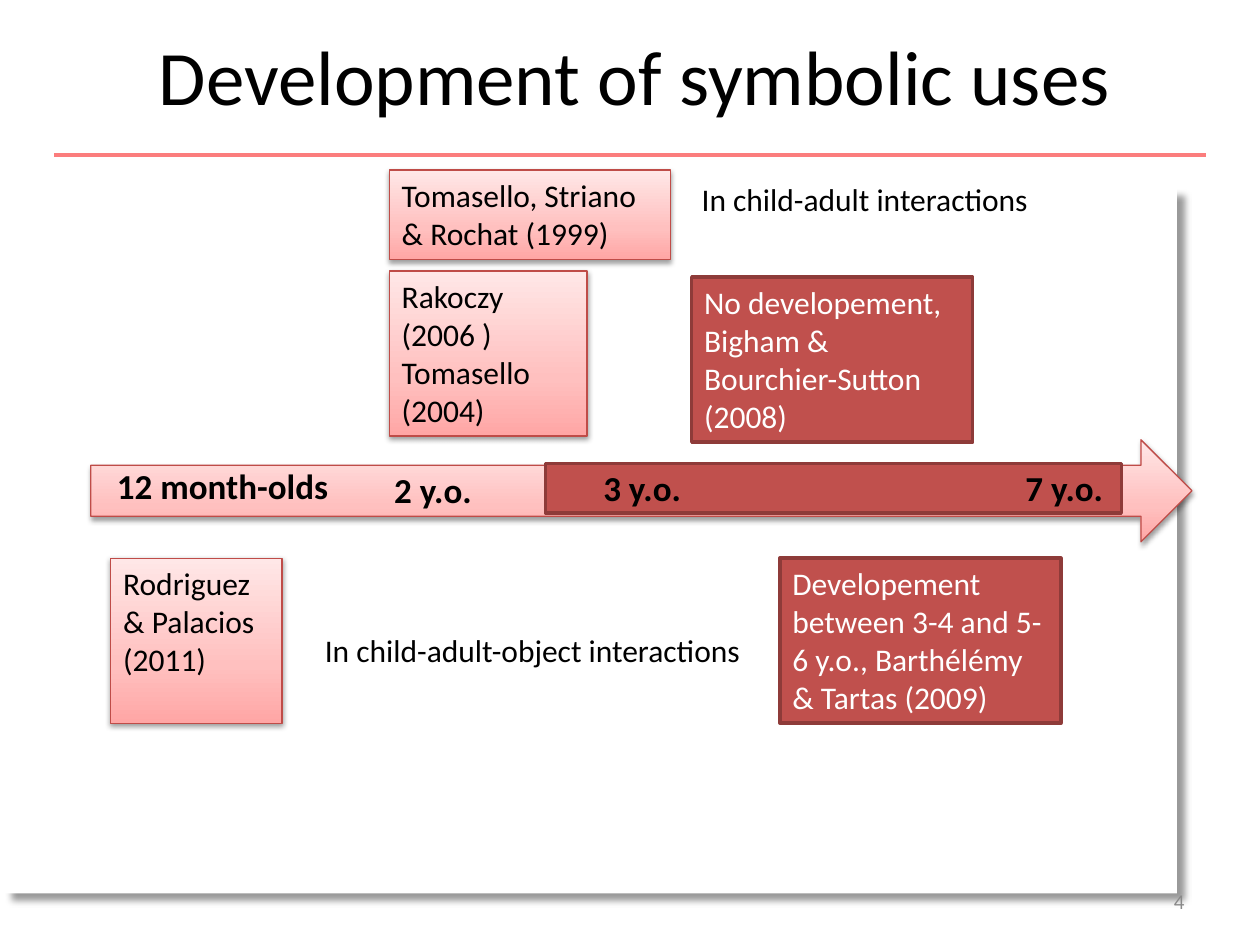
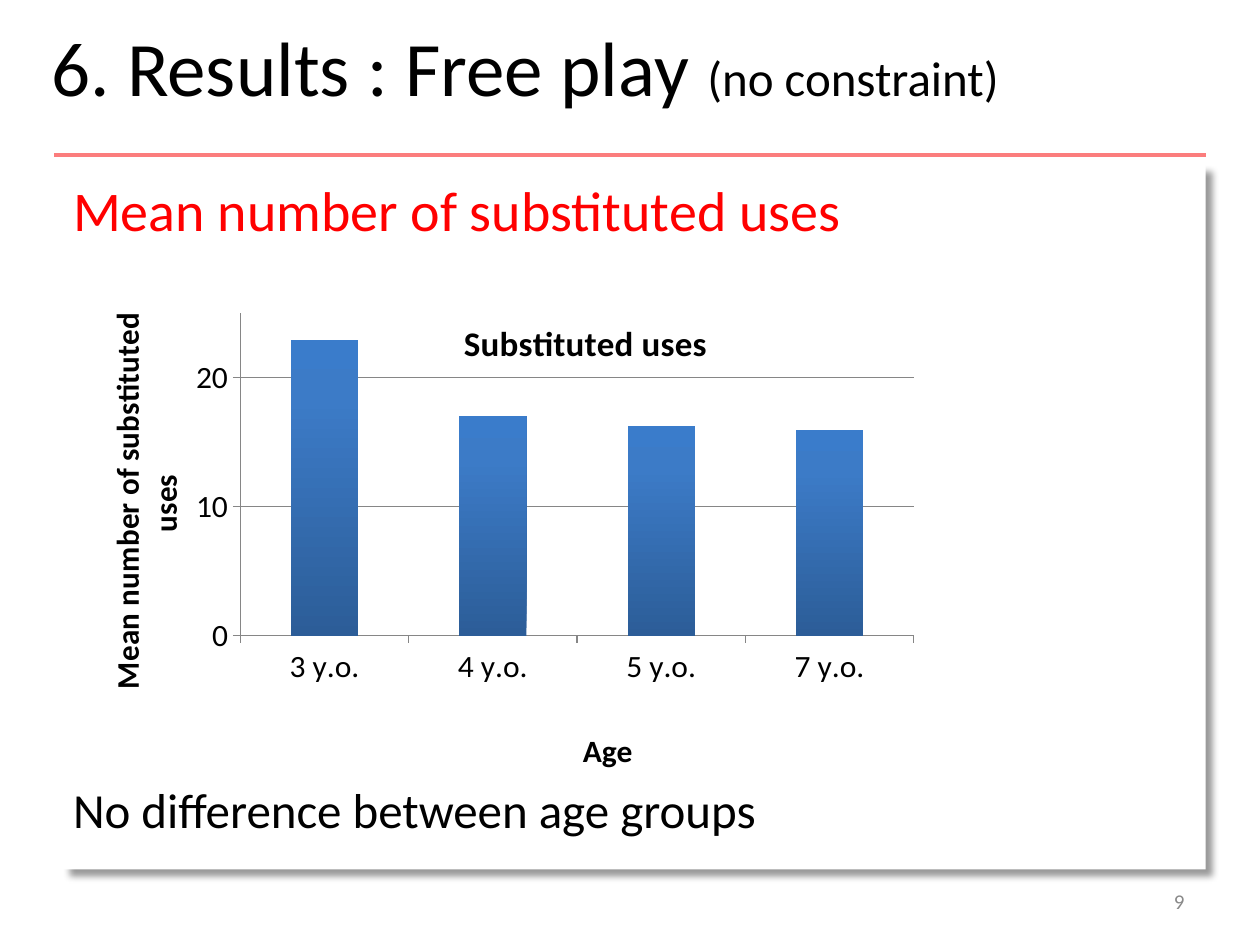
"""Build two slides on the development of symbolic uses in children."""
from dataclasses import dataclass

from pptx import Presentation
from pptx import util as u
from pptx.chart.data import CategoryChartData
from pptx.dml.color import RGBColor
from pptx.enum import chart as ch, shapes, text
from pptx.oxml import parse_xml
from pptx.oxml.ns import nsdecls, qn

PX = u.Inches(1) // 100
SLIDE = (1000, 750)


@dataclass(frozen=True)
class Theme:
    """Colours, type sizes and effects used on both slides."""
    font: str = "Calibri"
    ink: str = "000000"
    paper: str = "FFFFFF"
    accent: str = "FF0000"
    rule: str = "FB7D7D"
    muted: str = "898989"
    axis: str = "868686"
    dark: str = "C0504D"
    dark_edge: str = "8E3B39"
    light_edge: str = "BF4C48"
    light: tuple = ((0, "FFA6A5"), (35, "FFC0BF"), (100, "FFE7E7"))
    bars: tuple = ((0, "2C5D98"), (80, "3C7BC7"), (100, "3A7CCB"))
    panel_shadow: tuple = (40, 4, 6, 45)
    light_shadow: tuple = (38, 3.1, 1.6, 90)
    title: int = 44
    heading: int = 32
    body: int = 28
    label: int = 20
    small: int = 18
    page: int = 12


T = Theme()

RULE = (43, 123, 957, 123)
PAGE_AT = (717, 695, 233, 40)

TIMELINE = {
    "title": ("Development of symbolic uses", ""),
    "title_at": (51, -3, 906, 125),
    "page": "4",
    "panel_at": (4, 150, 930, 559),
    "arrow_at": (72, 349, 874, 81),
    "span_at": (433, 368, 457, 39),
    "ages": [
        ("12 month-olds", (83, 364, 189, 44)),
        ("2 y.o.", (303, 367, 82, 44)),
        ("3 y.o.", (469, 365, 82, 44)),
        ("7 y.o.", (804, 365, 82, 44)),
    ],
    "light_studies": [
        (["Rodriguez & Palacios (2011)"], (88, 443, 136, 131)),
        (["Tomasello, Striano & Rochat (1999)"], (309, 135, 223, 71)),
        (["Rakoczy (2006 )", "Tomasello (2004)"], (309, 215, 157, 131)),
    ],
    "dark_studies": [
        (["No developement, Bigham & Bourchier-Sutton (2008)"], (549, 220, 223, 131)),
        (["Developement between 3-4 and 5-6 y.o., Barthélémy & Tartas (2009)"],
         (619, 443, 223, 131)),
    ],
    "settings": [
        ("In child-adult interactions", (547, 138, 378, 40)),
        ("In child-adult-object interactions", (248, 496, 378, 40)),
    ],
}

RESULTS = {
    "title": ("6. Results : Free play ", "(no constraint)"),
    "title_at": (31, 10, 965, 84),
    "page": "9",
    "panel_at": (50, 131, 907, 559),
    "panel_inset": 8,
    "panel_gap": 426,
    "panel_text": ["Mean number of substituted uses", "No difference between age groups"],
    "chart_at": (27, 225, 862, 394),
    "chart_title": "Substituted uses",
    "age_axis": "Age",
    "mean_axis": "Mean number of substituted uses",
    "ages": ["3 y.o.", "4 y.o.", "5 y.o.", "7 y.o."],
    "means": [22.9, 17, 16.2, 15.9],
    "layout": {"plot": (0.19, 0.06, 0.62, 0.66), "title": (0.39, 0.06),
               "age": (0.5, 0.9), "mean": (0.06, 0.06)},
}


def px(*values):
    """Turn px lengths into EMU."""
    return [u.Emu(v * PX) for v in values]


def rgb(value):
    """Return a colour object for a hex string."""
    return RGBColor.from_string(value)


def paint(fill, root, colour):
    """Fill with one colour, or with upward gradient stops."""
    if isinstance(colour, str):
        fill.solid()
        fill.fore_color.rgb = rgb(colour)
        return
    fill.gradient()
    fill.gradient_angle = 90
    stops = root.find(f".//{qn('a:gsLst')}")
    for stop in list(stops):
        stops.remove(stop)
    for at, value in colour:
        stops.append(parse_xml(f'<a:gs {nsdecls("a")} pos="{at * 1000}">'
                               f'<a:srgbClr val="{value}"/></a:gs>'))


def stroke(line, colour, width):
    """Set the colour and width of a line."""
    line.color.rgb = rgb(colour)
    line.width = u.Pt(width)


def add_shadow(sp, alpha, blur, dist, angle):
    """Give a shape an outer shadow."""
    effects = sp.element.spPr.find(qn("a:effectLst"))
    effects.append(parse_xml(
        f'<a:outerShdw {nsdecls("a")} blurRad="{u.Pt(blur)}" dist="{u.Pt(dist)}" '
        f'dir="{angle * 60000}" algn="tl" rotWithShape="0"><a:srgbClr val="{T.ink}">'
        f'<a:alpha val="{alpha * 1000}"/></a:srgbClr></a:outerShdw>'))


def add_block(slide, at, fill, edge=None, width=0, shadow=None,
              kind=shapes.MSO_SHAPE.RECTANGLE):
    """Add a filled preset shape."""
    sp = slide.shapes.add_shape(kind, *px(*at))
    paint(sp.fill, sp.element, fill)
    if edge:
        stroke(sp.line, edge, width)
    else:
        sp.line.fill.background()
    sp.shadow.inherit = False
    if shadow:
        add_shadow(sp, *shadow)
    return sp


def style(p, size, colour=T.ink, bold=False):
    """Set the font of a paragraph."""
    p.font.name, p.font.size, p.font.bold = T.font, u.Pt(size), bold
    p.font.color.rgb = rgb(colour)


def write(sp, lines, size, colour=T.ink, bold=False, wrap=True,
          align=text.PP_ALIGN.LEFT, anchor=text.MSO_ANCHOR.TOP):
    """Write paragraphs of one style into a shape."""
    tf = sp.text_frame
    tf.word_wrap, tf.vertical_anchor = wrap, anchor
    tf.text = "\n".join(lines)
    for p in tf.paragraphs:
        p.alignment = align
        style(p, size, colour, bold)
    return tf


def add_text(slide, at, line, size, **look):
    """Add a text box with one paragraph."""
    return write(slide.shapes.add_textbox(*px(*at)), [line], size, **look)


def add_light(slide, at, **options):
    """Add a pale gradient shape with a soft shadow."""
    return add_block(slide, at, T.light, T.light_edge, 0.75, T.light_shadow, **options)


def add_dark(slide, at):
    """Add a dark red rectangle."""
    return add_block(slide, at, T.dark, T.dark_edge, 2)


def add_frame(prs, content, title_align):
    """Add a slide with its panel, page number, title and rule."""
    slide = prs.slides.add_slide(prs.slide_layouts[6])
    panel = add_block(slide, content["panel_at"], T.paper, shadow=T.panel_shadow)
    middle = text.MSO_ANCHOR.MIDDLE
    add_text(slide, PAGE_AT, content["page"], T.page, colour=T.muted,
             align=text.PP_ALIGN.RIGHT, anchor=middle)
    main, aside = content["title"]
    tf = add_text(slide, content["title_at"], main, T.title,
                  align=title_align, anchor=middle)
    if aside:
        r = tf.paragraphs[0].add_run()
        r.text, r.font.size = aside, u.Pt(T.body)
    rule = slide.shapes.add_connector(shapes.MSO_CONNECTOR.STRAIGHT, *px(*RULE))
    stroke(rule.line, T.rule, 2.5)
    rule.element.spPr.append(parse_xml(f'<a:effectLst {nsdecls("a")}/>'))
    return slide, panel


def build_timeline(prs):
    """Build the timeline of studies by age."""
    c = TIMELINE
    slide, _ = add_frame(prs, c, text.PP_ALIGN.CENTER)
    for lines, at in c["dark_studies"]:
        write(add_dark(slide, at), lines, T.small, T.paper)
    add_light(slide, c["arrow_at"], kind=shapes.MSO_SHAPE.RIGHT_ARROW)
    add_dark(slide, c["span_at"])
    for age, at in c["ages"]:
        add_text(slide, at, age, T.label, bold=True, wrap=False)
    for lines, at in c["light_studies"]:
        write(add_light(slide, at), lines, T.small)
    for setting, at in c["settings"]:
        add_text(slide, at, setting, T.small)


def place(element, *box):
    """Give a chart part a manual layout of x, y and optional width, height."""
    for old in element.findall(qn("c:layout")):
        element.remove(old)
    target = '<c:layoutTarget val="inner"/>' if len(box) == 4 else ""
    modes = '<c:xMode val="edge"/><c:yMode val="edge"/>'
    sizes = "".join(f'<c:{k} val="{v}"/>' for k, v in zip("xywh", box))
    layout = parse_xml(f'<c:layout {nsdecls("c")}><c:manualLayout>{target}{modes}{sizes}'
                       '</c:manualLayout></c:layout>')
    element.insert(0 if element.find(qn("c:tx")) is None else 1, layout)


def set_title(title, words, size, spot):
    """Write, style and place a chart or axis title."""
    title.text_frame.text = words
    style(title.text_frame.paragraphs[0], size, bold=True)
    place(title.element, *spot)


def add_means_chart(slide, c):
    """Add the column chart of means by age."""
    data = CategoryChartData()
    data.categories = c["ages"]
    data.add_series("Series 1", c["means"])
    chart = slide.shapes.add_chart(ch.XL_CHART_TYPE.COLUMN_CLUSTERED,
                                   *px(*c["chart_at"]), data).chart
    chart.font.name, chart.font.size = T.font, u.Pt(T.small)
    chart.font.color.rgb = rgb(T.ink)
    chart.has_legend = False
    plot = chart.plots[0]
    plot.gap_width, plot.vary_by_categories = 150, False
    paint(plot.series[0].format.fill, chart.element, T.bars)
    ages, means = chart.category_axis, chart.value_axis
    means.minimum_scale, means.maximum_scale, means.major_unit = 0, 25, 10
    means.has_major_gridlines = True
    stroke(means.major_gridlines.format.line, T.axis, 0.75)
    for axis in (ages, means):
        axis.major_tick_mark = ch.XL_TICK_MARK.OUTSIDE
        stroke(axis.format.line, T.axis, 0.75)
    spots = c["layout"]
    chart.has_title = True
    set_title(chart.chart_title, c["chart_title"], T.label, spots["title"])
    set_title(ages.axis_title, c["age_axis"], T.small, spots["age"])
    set_title(means.axis_title, c["mean_axis"], T.small, spots["mean"])
    place(chart.element.find(f".//{qn('c:plotArea')}"), *spots["plot"])


def build_results(prs):
    """Build the free play results."""
    c = RESULTS
    slide, panel = add_frame(prs, c, text.PP_ALIGN.LEFT)
    tf = write(panel, c["panel_text"], T.heading, T.accent)
    tf.margin_left = tf.margin_right = tf.margin_top = px(c["panel_inset"])[0]
    finding = tf.paragraphs[1]
    style(finding, T.body)
    finding.space_before = px(c["panel_gap"])[0]
    add_means_chart(slide, c)


def main():
    """Build and save the presentation."""
    prs = Presentation()
    prs.slide_width, prs.slide_height = px(*SLIDE)
    build_timeline(prs)
    build_results(prs)
    prs.save("out.pptx")


if __name__ == "__main__":
    main()
